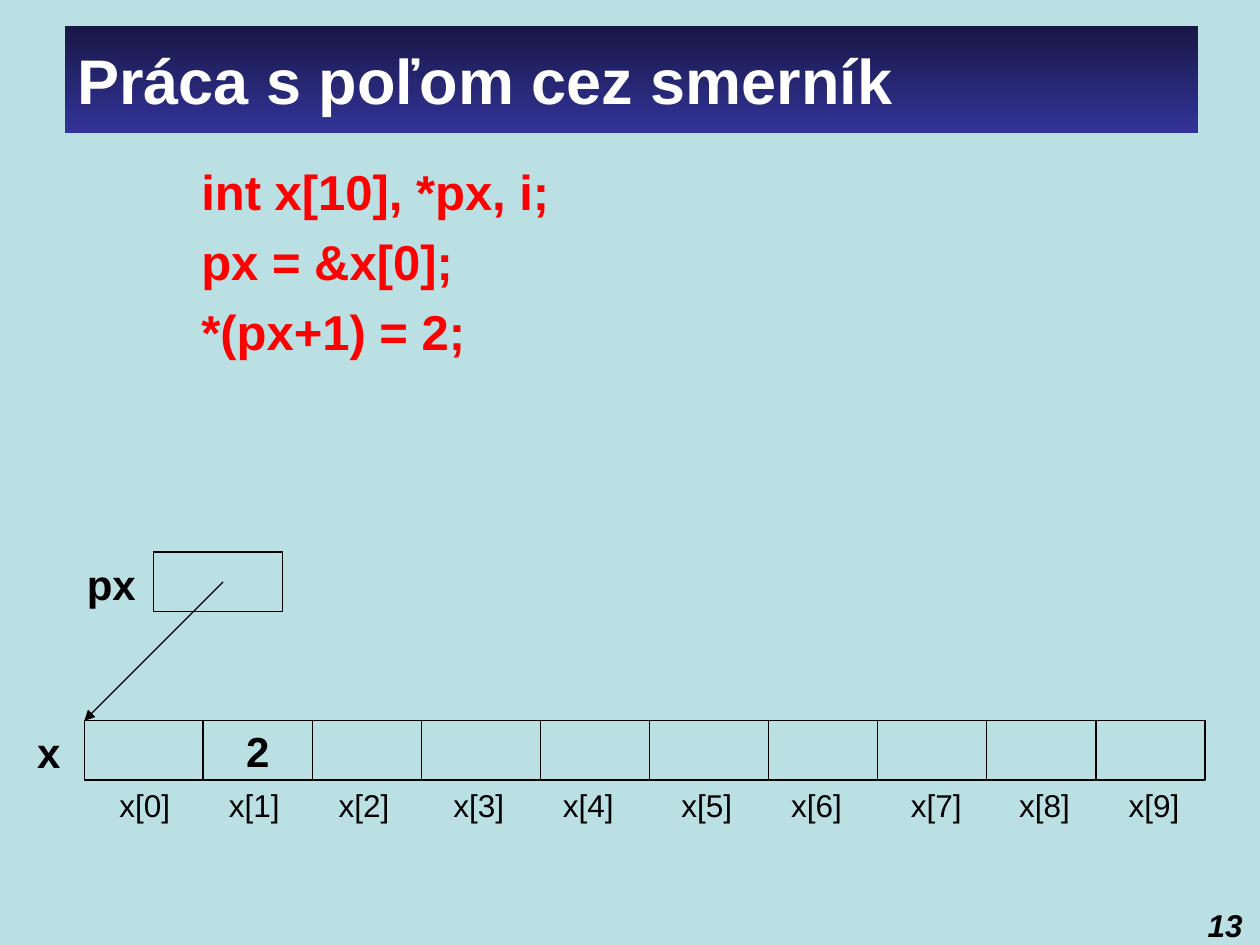
import pptx
import pptx.dml.color
import pptx.enum.shapes
import pptx.enum.text
import pptx.oxml
import pptx.oxml.ns
import pptx.util

Pt = pptx.util.Pt
ALIGN = pptx.enum.text.PP_ALIGN
ANCHOR = pptx.enum.text.MSO_ANCHOR
RECTANGLE = pptx.enum.shapes.MSO_SHAPE.RECTANGLE

# Content
TITLE = "Práca s poľom cez smerník"
CODE_LINES = ["int x[10], *px, i;", "px = &x[0];", "*(px+1) = 2;"]
ARRAY_VALUES = ["", "2", "", "", "", "", "", "", "", ""]
LABEL_LEFTS = [61.2, 123.8, 186.5, 252, 314.6, 382.3, 445, 513.4, 575.3, 637.9]
POINTER_NAME, ARRAY_NAME, SLIDE_NUMBER = "px", "x", "13"

THEME = {
    "font": "Arial",
    "background": "BBE0E3", "ink": "000000", "code": "FF0000", "title": "FFFFFF",
    "band_top": "181847", "band_bottom": "333399",
    "title_size": 36, "code_size": 28, "name_size": 24, "label_size": 18,
}

# Array geometry
ARRAY_LEFT, ARRAY_TOP, CELL_HEIGHT = 48.2, 411.9, 33.9
CELL_WIDTH, WIDE_CELL_WIDTH, WIDE_CELLS = 62.4, 67.9, (0, 3, 5)
POINTER_TOP = 315.4


def color(name):
    return pptx.dml.color.RGBColor.from_string(THEME[name])


def write(shape, lines, size, ink="ink", bold=True, italic=False,
          align=ALIGN.LEFT, anchor=ANCHOR.TOP, wrap=False):
    frame = shape.text_frame
    frame.text = "\n".join(lines)
    frame.word_wrap = wrap
    frame.vertical_anchor = anchor
    for paragraph in frame.paragraphs:
        paragraph.alignment = align
        for run in paragraph.runs:
            font = run.font
            font.name, font.size = THEME["font"], Pt(THEME[size])
            font.bold, font.italic = bold, italic
            font.color.rgb = color(ink)


def add_text(slide, left, top, width, height, lines, size, **style):
    box = slide.shapes.add_textbox(Pt(left), Pt(top), Pt(width), Pt(height))
    write(box, lines, size, **style)
    return box


def add_cell(slide, left, top, width, value=""):
    cell = slide.shapes.add_shape(RECTANGLE, Pt(left), Pt(top), Pt(width), Pt(CELL_HEIGHT))
    cell.shadow.inherit = False
    cell.fill.solid()
    cell.fill.fore_color.rgb = color("background")
    cell.line.color.rgb = color("ink")
    cell.line.width = Pt(0.75)
    if value:
        write(cell, [value], "name_size", align=ALIGN.CENTER, anchor=ANCHOR.MIDDLE)


def add_arrow(slide, start, end):
    arrow = slide.shapes.add_connector(
        pptx.enum.shapes.MSO_CONNECTOR.STRAIGHT, *map(Pt, start + end))
    arrow.line.color.rgb = color("ink")
    arrow.line.width = Pt(0.75)
    namespace = pptx.oxml.ns.nsdecls("a")
    arrow.line._get_or_add_ln().append(
        pptx.oxml.parse_xml(f'<a:tailEnd {namespace} type="triangle"/>'))
    arrow._element.spPr.append(pptx.oxml.parse_xml(f"<a:effectLst {namespace}/>"))


def add_title(slide):
    title = slide.shapes.title
    title.left, title.top, title.width, title.height = map(Pt, (36.9, 15, 647.6, 61))
    title.fill.gradient()
    title.fill.gradient_angle = 270
    for stop, name, position in zip(title.fill.gradient_stops,
                                    ("band_top", "band_bottom"), (0, 1)):
        stop.color.rgb = color(name)
        stop.position = position
    write(title, [TITLE], "title_size", ink="title", anchor=ANCHOR.MIDDLE, wrap=True)


def add_code(slide):
    code = add_text(slide, 36, 88.6, 648, 219.6, CODE_LINES, "code_size",
                    ink="code", wrap=True)
    for paragraph in code.text_frame.paragraphs:
        paragraph.space_before = Pt(6.5)
        properties = paragraph._p.get_or_add_pPr()
        properties.set("marL", str(Pt(90)))
        properties.set("indent", str(Pt(-18)))


def add_array(slide):
    left = ARRAY_LEFT
    for index, (value, label_left) in enumerate(zip(ARRAY_VALUES, LABEL_LEFTS)):
        width = WIDE_CELL_WIDTH if index in WIDE_CELLS else CELL_WIDTH
        add_cell(slide, left, ARRAY_TOP, width, value)
        add_text(slide, label_left, ARRAY_TOP + CELL_HEIGHT, 43.2, 28.8,
                 [f"{ARRAY_NAME}[{index}]"], "label_size", bold=False)
        left += width
    add_text(slide, 14.2, ARRAY_TOP, 28, 36, [ARRAY_NAME], "name_size")


def add_pointer(slide):
    add_cell(slide, 87.6, POINTER_TOP, 73.7)
    add_text(slide, 42.5, POINTER_TOP, 42.5, 36, [POINTER_NAME], "name_size")
    add_arrow(slide, (127.5, 332.5), (ARRAY_LEFT, ARRAY_TOP))


def main():
    presentation = pptx.Presentation()
    presentation.slide_width, presentation.slide_height = Pt(720), Pt(540)
    slide = presentation.slides.add_slide(presentation.slide_layouts[5])
    slide.background.fill.solid()
    slide.background.fill.fore_color.rgb = color("background")

    add_title(slide)
    add_code(slide)
    add_array(slide)
    add_pointer(slide)
    add_text(slide, 679, 514.1, 38.2, 22.3, [SLIDE_NUMBER], "label_size",
             italic=True, align=ALIGN.RIGHT, wrap=True)
    presentation.save("out.pptx")


if __name__ == "__main__":
    main()
